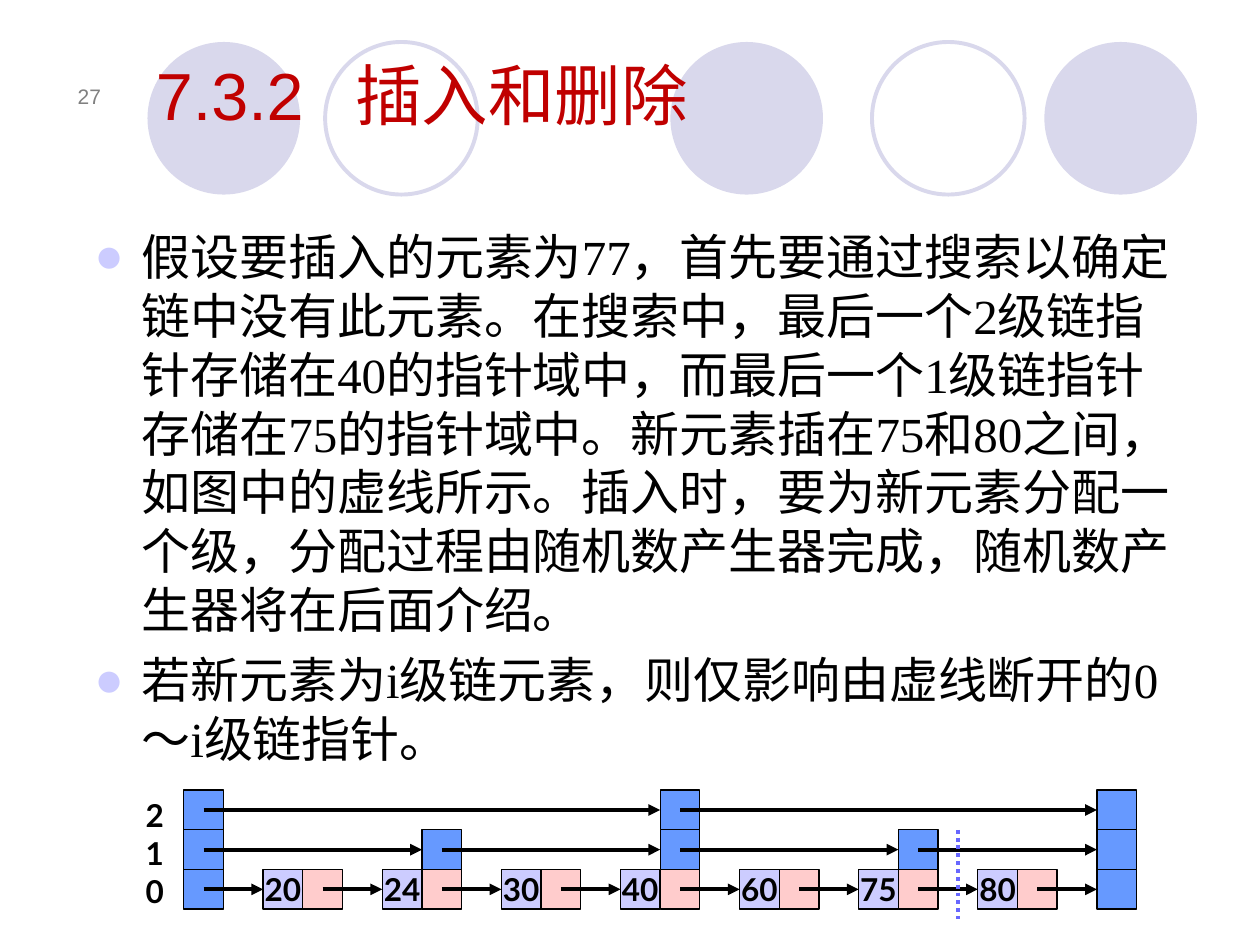
from lxml import etree
from pptx import Presentation
from pptx.dml.color import RGBColor
from pptx.enum.dml import MSO_LINE
from pptx.enum.shapes import MSO_CONNECTOR, MSO_SHAPE
from pptx.enum.text import MSO_ANCHOR, PP_ALIGN
from pptx.oxml.ns import qn
from pptx.util import Pt

COLORS = {
    "circle": "D9D8EC", "number": "808080", "title": "C00000", "ink": "000000",
    "bullet": "CCCCFF", "index": "6699FF", "key": "CCCCFF", "pointer": "FFCCCC",
    "cut": "6767FF",
}
FORMATS = {
    "number": {"size": Pt(12), "name": "Arial"},
    "title": {"size": Pt(38), "name": "Arial"},
    "ink": {"size": Pt(28), "name": "Times New Roman"},
    "label": {"size": Pt(18), "name": "Lato", "bold": True},
}
KEYS = [20, 24, 30, 40, 60, 75, 80]
BODY = [
    "假设要插入的元素为77，首先要通过搜索以确定链中没有此元素。在搜索中，最后一个2级链指针存储在40的指针域中，"
    "而最后一个1级链指针存储在75的指针域中。新元素插在75和80之间，如图中的虚线所示。插入时，"
    "要为新元素分配一个级，分配过程由随机数产生器完成，随机数产生器将在后面介绍。",
    "若新元素为i级链元素，则仅影响由虚线断开的0～i级链指针。",
]


def color(name):
    return RGBColor.from_string(COLORS[name])


def add_xml(parent, tag, **attributes):
    return etree.SubElement(parent, qn(tag), attributes)


def style_font(font, style):
    for name, value in FORMATS[style].items():
        setattr(font, name, value)
    font.color.rgb = color(style if style in COLORS else "ink")


def add_text(page, box, text, style, anchor=MSO_ANCHOR.TOP, align=PP_ALIGN.LEFT):
    frame = page.shapes.add_textbox(*map(Pt, box)).text_frame
    frame.word_wrap = True
    frame.vertical_anchor = anchor
    para = frame.paragraphs[0]
    para.alignment = align
    span = para.add_run()
    span.text = text
    style_font(span.font, style)
    return para


def add_circles(page, box):
    left, top, width, size = box
    offsets = [(0, True), (101.5, False), (298.8, True), (414, False), (width - size, True)]
    for offset, filled in offsets:
        circle = page.shapes.add_shape(
            MSO_SHAPE.OVAL, Pt(left + offset), Pt(top), Pt(size), Pt(size))
        circle.shadow.inherit = False
        if filled:
            circle.fill.solid()
            circle.fill.fore_color.rgb = color("circle")
            circle.line.fill.background()
        else:
            circle.fill.background()
            circle.line.color.rgb = color("circle")
            circle.line.width = Pt(2.25)


def add_title(page, box):
    para = add_text(page, box, "7.3.2\t插入和删除", "title", MSO_ANCHOR.BOTTOM)
    tabs = add_xml(para._p.get_or_add_pPr(), "a:tabLst")
    add_xml(tabs, "a:tab", pos=str(Pt(114)), algn="l")


def add_body(page, box):
    frame = page.shapes.add_textbox(*map(Pt, box)).text_frame
    frame.word_wrap = True
    for index, text in enumerate(BODY):
        para = frame.add_paragraph() if index else frame.paragraphs[0]
        if index:
            para.space_before = Pt(6.5)
        properties = para._p.get_or_add_pPr()
        properties.set("marL", str(Pt(27)))
        properties.set("indent", str(-Pt(27)))
        add_xml(add_xml(properties, "a:buClr"), "a:srgbClr", val=COLORS["bullet"])
        add_xml(properties, "a:buFont", typeface="Arial")
        add_xml(properties, "a:buChar", char="●")
        span = para.add_run()
        span.text = text
        style_font(span.font, "ink")


def add_line(page, start, end, line_color):
    line = page.shapes.add_connector(
        MSO_CONNECTOR.STRAIGHT, *map(Pt, (*start, *end)))
    line.line.color.rgb = color(line_color)
    line.line.width = Pt(2.25)
    add_xml(line._element.spPr, "a:effectLst")
    return line


def add_skip_list(page, box):
    """Draw the chain on a grid of 24 columns and 3 levels, level 0 at the bottom."""
    left, top, width, height = box
    cell = width / 24
    tail = 23

    def add_cell(column, level, fill, text=""):
        shape = page.shapes.add_shape(
            MSO_SHAPE.RECTANGLE, Pt(left + column * cell), Pt(top + (2 - level) * cell),
            Pt(cell), Pt(cell))
        shape.shadow.inherit = False
        shape.fill.solid()
        shape.fill.fore_color.rgb = color(fill)
        shape.line.color.rgb = color("ink")
        shape.line.width = Pt(0.75)
        if text:
            frame = shape.text_frame
            frame.word_wrap = False
            frame.vertical_anchor = MSO_ANCHOR.MIDDLE
            para = frame.paragraphs[0]
            para.alignment = PP_ALIGN.CENTER
            span = para.add_run()
            span.text = text
            style_font(span.font, "label")

    def add_link(start, end, level):
        y = top + (2.5 - level) * cell
        arrow = add_line(page, (left + (start + 0.5) * cell, y), (left + end * cell, y), "ink")
        add_xml(arrow.line._get_or_add_ln(), "a:tailEnd", type="triangle")

    key_columns = [2 + 3 * index for index in range(len(KEYS))]
    pointer_columns = [column + 1 for column in key_columns]
    for column, key in zip(key_columns, KEYS):
        add_cell(column, 0, "key", str(key))
        add_cell(column + 1, 0, "pointer")
    for column in (0, tail):
        add_cell(column, 0, "index")
    for start, end in zip([0] + pointer_columns, key_columns + [tail]):
        add_link(start, end, 0)

    for level in (1, 2):
        step = 2 ** level
        columns = [0] + pointer_columns[step - 1::step] + [tail]
        for column in columns:
            add_cell(column, level, "index")
        for start, end in zip(columns, columns[1:]):
            add_link(start, end, level)

    add_text(page, (left - 28.8, top, 22.3, height + 4), "210", "label")
    cut_x = left + 19.5 * cell
    cut = add_line(page, (cut_x, top + cell), (cut_x, top + 3.25 * cell), "cut")
    cut.line.dash_style = MSO_LINE.ROUND_DOT


def main():
    deck = Presentation()
    deck.slide_width, deck.slide_height = Pt(720), Pt(540)
    page = deck.slides.add_slide(deck.slide_layouts[6])
    add_circles(page, (84.3, 24, 599.7, 87.2))
    add_text(page, (25.2, 31.7, 39.6, 33.8), "27", "number",
             MSO_ANCHOR.BOTTOM, PP_ALIGN.RIGHT)
    add_title(page, (82, 26, 610, 54))
    add_body(page, (46.8, 126, 637.2, 285))
    add_skip_list(page, (105, 451.5, 544.5, 68))
    deck.save("out.pptx")


if __name__ == "__main__":
    main()
